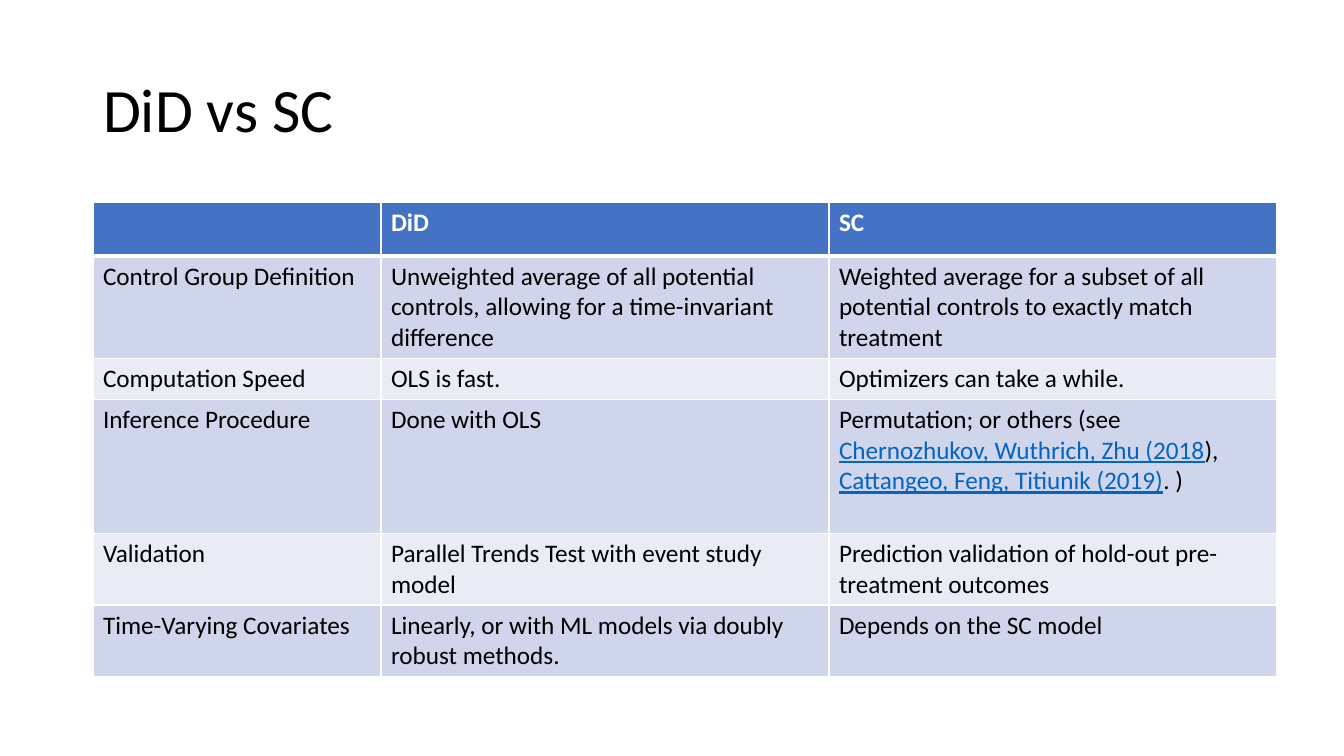
import lxml.etree
import pptx
import pptx.dml.color
import pptx.enum.text
import pptx.oxml.ns
import pptx.util

SCALE = 914400 / 100.8
HUES = {
    "black": "000000",
    "white": "FFFFFF",
    "head": "4472C4",
    "dark": "CFD5EA",
    "light": "E9EBF5",
    "link": "0563C1",
}
COLS = [288, 448, 448]
ROWS = [54, 102, 41, 134, 71, 72]
CELLS = [
    ["", "DiD", "SC"],
    ["Control Group Definition",
     "Unweighted average of all potential controls, allowing for a time-invariant difference",
     "Weighted average for a subset of all potential controls to exactly match treatment"],
    ["Computation Speed", "OLS is fast.", "Optimizers can take a while."],
    ["Inference Procedure", "Done with OLS",
     "Permutation; or others (see |Chernozhukov, Wuthrich, Zhu (2018|), "
     "|Cattangeo, Feng, Titiunik (2019)|. )"],
    ["Validation", "Parallel Trends Test with event study model",
     "Prediction validation of hold-out pre-treatment outcomes"],
    ["Time-Varying Covariates",
     "Linearly, or with ML models via doubly robust methods.",
     "Depends on the SC model"],
]


def px(num):
    """Turn pixels into EMU."""
    return pptx.util.Emu(round(num * SCALE))


def hue(name):
    """Look up a colour by name."""
    return pptx.dml.color.RGBColor.from_string(HUES[name])


def style(font, size, name, bold=False):
    """Set the face, size, colour and weight of a font."""
    font.name = "Calibri"
    font.size = pptx.util.Pt(size)
    font.color.rgb = hue(name)
    font.bold = bold


def edge(cell, side, width):
    """Draw one white border of a cell."""
    tag = pptx.oxml.ns.qn
    props = cell._tc.get_or_add_tcPr()
    line = lxml.etree.SubElement(props, tag("a:" + side), w=str(pptx.util.Pt(width)))
    fill = lxml.etree.SubElement(line, tag("a:solidFill"))
    lxml.etree.SubElement(fill, tag("a:srgbClr"), val=HUES["white"])


def write(cell, text, head):
    """Fill a cell with text, where bars set off the linked parts."""
    para = cell.text_frame.paragraphs[0]
    style(para.font, 18, "white" if head else "black", head)
    for pos, part in enumerate(text.split("|")):
        run = para.add_run()
        run.text = part
        if pos % 2:
            run.font.color.rgb = hue("link")
            run.font.underline = True


def title(slide, left, top, width, height):
    """Place the slide title in its box."""
    shape = slide.shapes.title
    shape.left, shape.top = px(left), px(top)
    shape.width, shape.height = px(width), px(height)
    frame = shape.text_frame
    frame.text = "DiD vs SC"
    frame.vertical_anchor = pptx.enum.text.MSO_ANCHOR.MIDDLE
    para = frame.paragraphs[0]
    para.alignment = pptx.enum.text.PP_ALIGN.LEFT
    para.line_spacing = 0.9
    style(para.font, 44, "black")


def grid(slide, left, top):
    """Place the table that compares both methods."""
    frame = slide.shapes.add_table(
        len(ROWS), len(COLS), px(left), px(top), px(sum(COLS)), px(sum(ROWS)))
    table = frame.table
    for col, width in zip(table.columns, COLS):
        col.width = px(width)
    for num, (row, height) in enumerate(zip(table.rows, ROWS)):
        row.height = px(height)
        shade = "head" if num == 0 else "dark" if num % 2 else "light"
        for cell, text in zip(row.cells, CELLS[num]):
            for side in ("lnL", "lnR", "lnT", "lnB"):
                thick = (num, side) in ((0, "lnB"), (1, "lnT"))
                edge(cell, side, 3 if thick else 1)
            cell.fill.solid()
            cell.fill.fore_color.rgb = hue(shade)
            write(cell, text, num == 0)


def main():
    """Build and save the slide."""
    deck = pptx.Presentation()
    deck.slide_width, deck.slide_height = px(1344), px(756)
    slide = deck.slides.add_slide(deck.slide_layouts[5])
    title(slide, 93, 40, 1159, 146)
    grid(slide, 93, 202)
    deck.save("out.pptx")


if __name__ == "__main__":
    main()
